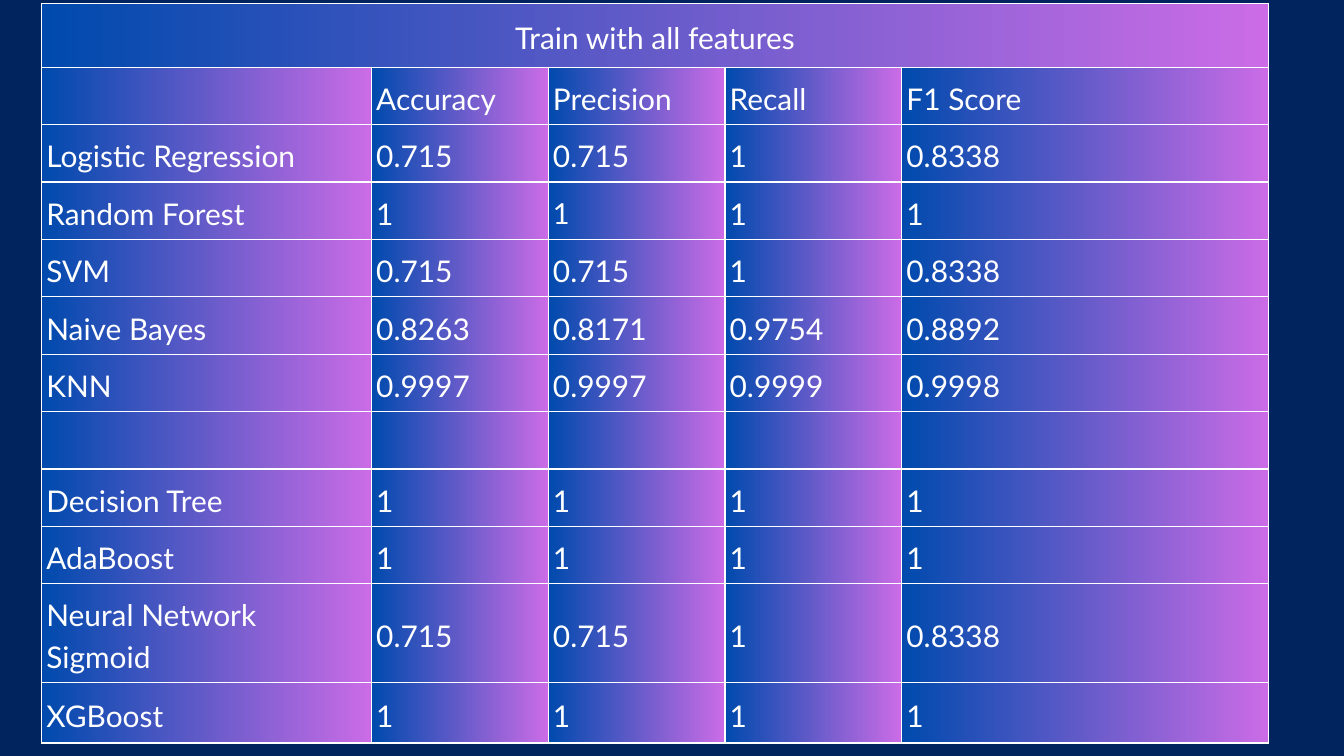
import lxml.etree
import pptx
import pptx.dml.color
import pptx.enum.text
import pptx.oxml.ns
import pptx.util

Cm = pptx.util.Cm
Pt = pptx.util.Pt

COLORS = {"background": "01245E", "start": "004AAD", "end": "CB6CE6", "white": "FFFFFF"}
COLUMN_WIDTHS = [12.47, 6.68, 6.68, 6.68, 13.87]
ROW_HEIGHTS = [2.41] + [2.17] * 9 + [3.73, 2.29]
ROWS = [
    ["Train with all features"],
    ["", "Accuracy", "Precision", "Recall", "F1 Score"],
    ["Logistic Regression", "0.715", "0.715", "1", "0.8338"],
    ["Random Forest", "1", "1", "1", "1"],
    ["SVM", "0.715", "0.715", "1", "0.8338"],
    ["Naive Bayes", "0.8263", "0.8171", "0.9754", "0.8892"],
    ["KNN", "0.9997", "0.9997", "0.9999", "0.9998"],
    [],
    ["Decision Tree", "1", "1", "1", "1"],
    ["AdaBoost", "1", "1", "1", "1"],
    ["Neural Network Sigmoid", "0.715", "0.715", "1", "0.8338"],
    ["XGBoost", "1", "1", "1", "1"],
]
FONT_SIZE = 32
SPECIAL_SIZES = {(3, 2): 31}
LINE_FACTOR = 1.4


def rgb(name):
    return pptx.dml.color.RGBColor.from_string(COLORS[name])


def add_borders(cell):
    """Draw white lines on all four sides; they must come before the fill in tcPr."""
    properties = cell._tc.get_or_add_tcPr()
    qn = pptx.oxml.ns.qn
    for position, side in enumerate(["a:lnL", "a:lnR", "a:lnT", "a:lnB"]):
        line = lxml.etree.Element(qn(side), w=str(Pt(1.5)))
        fill = lxml.etree.SubElement(line, qn("a:solidFill"))
        lxml.etree.SubElement(fill, qn("a:srgbClr"), val=COLORS["white"])
        properties.insert(position, line)


presentation = pptx.Presentation()
presentation.slide_width = Cm(50.8)
presentation.slide_height = Cm(28.58)
slide = presentation.slides.add_slide(presentation.slide_layouts[6])
slide.background.fill.solid()
slide.background.fill.fore_color.rgb = rgb("background")

table = slide.shapes.add_table(
    len(ROWS), len(COLUMN_WIDTHS), Cm(1.57), Cm(0.13),
    Cm(sum(COLUMN_WIDTHS)), Cm(sum(ROW_HEIGHTS)),
).table
table.first_row = False
table.horz_banding = False
for column, width in zip(table.columns, COLUMN_WIDTHS):
    column.width = Cm(width)
for row, height in zip(table.rows, ROW_HEIGHTS):
    row.height = Cm(height)

for row_index, row in enumerate(table.rows):
    for column_index, cell in enumerate(row.cells):
        cell.fill.gradient()
        cell.fill.gradient_angle = 0
        for stop, name, position in zip(cell.fill.gradient_stops, ["start", "end"], [0, 1]):
            stop.color.rgb = rgb(name)
            stop.position = position
        add_borders(cell)
        cell.vertical_anchor = pptx.enum.text.MSO_ANCHOR.MIDDLE
        cell.margin_left = cell.margin_right = Cm(0.18)
        cell.margin_top = cell.margin_bottom = Cm(0.18)

    for column_index, text in enumerate(ROWS[row_index]):
        if not text:
            continue
        size = SPECIAL_SIZES.get((row_index, column_index), FONT_SIZE)
        paragraph = table.cell(row_index, column_index).text_frame.paragraphs[0]
        paragraph.text = text
        paragraph.line_spacing = Pt(size * LINE_FACTOR)
        font = paragraph.runs[0].font
        font.name = "Lato"
        font.size = Pt(size)
        font.color.rgb = rgb("white")

title_cell = table.cell(0, 0)
title_cell.merge(table.cell(0, len(COLUMN_WIDTHS) - 1))
title_cell.text_frame.paragraphs[0].alignment = pptx.enum.text.PP_ALIGN.CENTER

presentation.save("out.pptx")
